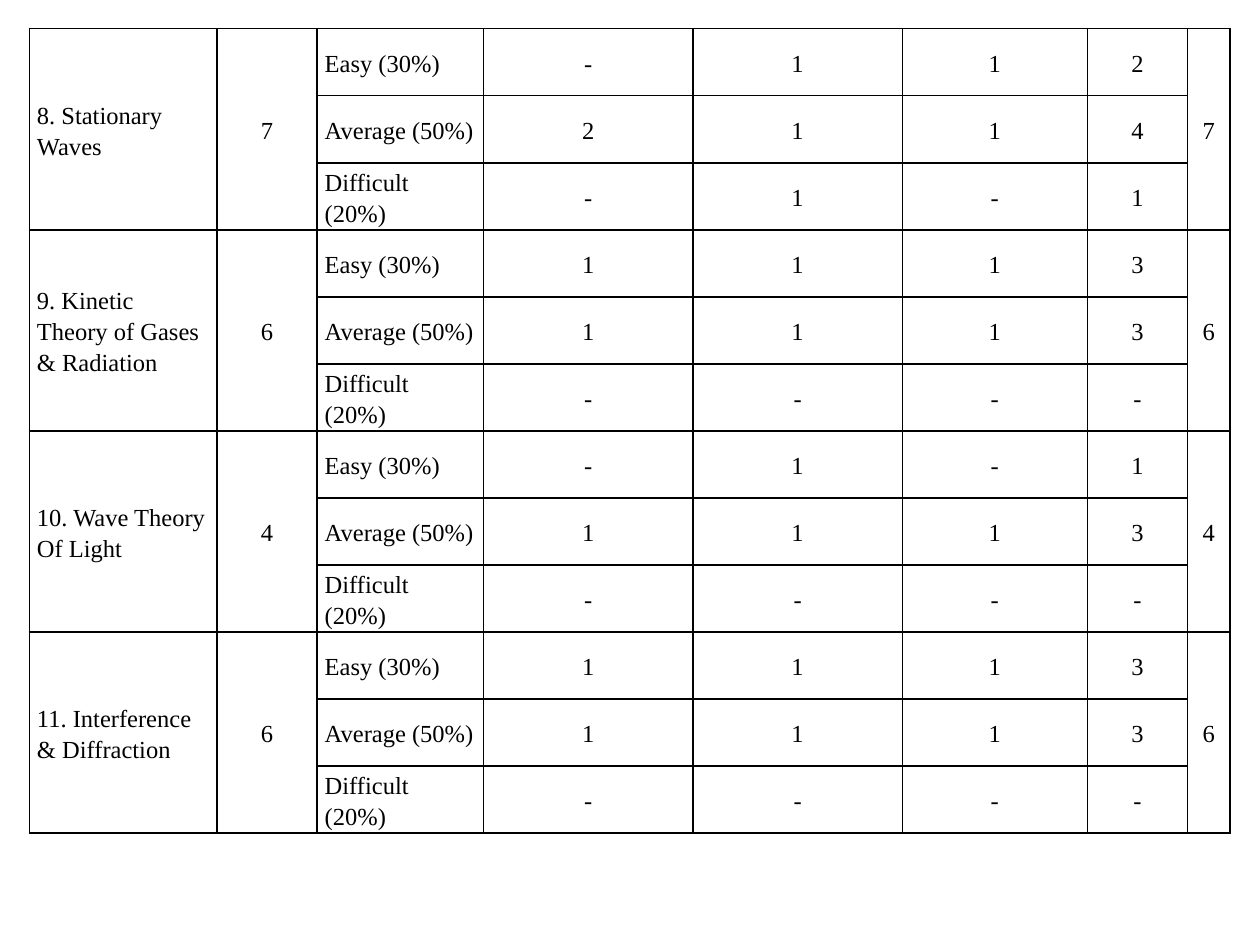
from dataclasses import dataclass

from lxml.etree import SubElement
from pptx import Presentation
from pptx.dml.color import RGBColor
from pptx.enum.text import MSO_ANCHOR, PP_ALIGN
from pptx.oxml.ns import qn
from pptx.table import Table, _Cell
from pptx.util import Pt

COLORS = {"text": "000000", "border": "000000", "fill": "FFFFFF"}
FONT = "Times New Roman"
LEVELS = ("Easy (30%)", "Average (50%)", "Difficult (20%)")
COL_WIDTHS = (107.1, 57.4, 95, 119.7, 119.7, 105.7, 57.4, 24.2)
ROW_HEIGHT = 38.3
LEFT, TOP = 16.8, 16.4
INSET = 4.3


@dataclass
class Chapter:
    name: str
    marks: str
    counts: tuple[str, str, str]  # one string per level, one character per column


CHAPTERS = (
    Chapter("8. Stationary Waves", "7", ("-112", "2114", "-1-1")),
    Chapter("9. Kinetic Theory of Gases & Radiation", "6", ("1113", "1113", "----")),
    Chapter("10. Wave Theory Of Light", "4", ("-1-1", "1113", "----")),
    Chapter("11. Interference & Diffraction", "6", ("1113", "1113", "----")),
)


def format_cell(cell: _Cell) -> None:
    """Set the margins, borders and fill of a cell."""
    cell.margin_left = cell.margin_right = Pt(INSET)
    cell.margin_top = cell.margin_bottom = Pt(0)
    cell.vertical_anchor = MSO_ANCHOR.MIDDLE
    tc_pr = cell._tc.get_or_add_tcPr()
    for side in ("a:lnL", "a:lnR", "a:lnT", "a:lnB"):
        ln = SubElement(tc_pr, qn(side), w=str(Pt(1)))
        fill = SubElement(ln, qn("a:solidFill"))
        SubElement(fill, qn("a:srgbClr"), val=COLORS["border"])
    cell.fill.solid()
    cell.fill.fore_color.rgb = RGBColor.from_string(COLORS["fill"])


def write_cell(cell: _Cell, text: str, align: PP_ALIGN = PP_ALIGN.CENTER) -> None:
    """Write one paragraph into a cell."""
    p = cell.text_frame.paragraphs[0]
    p.text = text
    p.alignment = align
    p.line_spacing = 1.15
    p.font.name = FONT
    p.font.size = Pt(14)
    p.font.color.rgb = RGBColor.from_string(COLORS["text"])


def add_chapter(table: Table, top: int, chapter: Chapter) -> None:
    """Fill the rows of one chapter, with its name and marks merged across them."""
    last = len(table.columns) - 1
    for col in (0, 1, last):
        table.cell(top, col).merge(table.cell(top + len(LEVELS) - 1, col))
    write_cell(table.cell(top, 0), chapter.name, PP_ALIGN.LEFT)
    write_cell(table.cell(top, 1), chapter.marks)
    write_cell(table.cell(top, last), chapter.marks)
    for row, (level, counts) in enumerate(zip(LEVELS, chapter.counts), top):
        write_cell(table.cell(row, 2), level, PP_ALIGN.LEFT)
        for col, count in enumerate(counts, 3):
            write_cell(table.cell(row, col), count)


def main() -> None:
    prs = Presentation()
    prs.slide_width, prs.slide_height = Pt(720), Pt(540)
    s = prs.slides.add_slide(prs.slide_layouts[6])

    # Table grid
    rows = len(CHAPTERS) * len(LEVELS)
    table = s.shapes.add_table(
        rows, len(COL_WIDTHS), Pt(LEFT), Pt(TOP),
        Pt(sum(COL_WIDTHS)), Pt(rows * ROW_HEIGHT),
    ).table
    table.first_row = table.horz_banding = False
    for column, width in zip(table.columns, COL_WIDTHS):
        column.width = Pt(width)
    for row in table.rows:
        row.height = Pt(ROW_HEIGHT)
    for cell in table.iter_cells():
        format_cell(cell)

    # Chapters
    for i, chapter in enumerate(CHAPTERS):
        add_chapter(table, i * len(LEVELS), chapter)

    prs.save("out.pptx")


if __name__ == "__main__":
    main()
